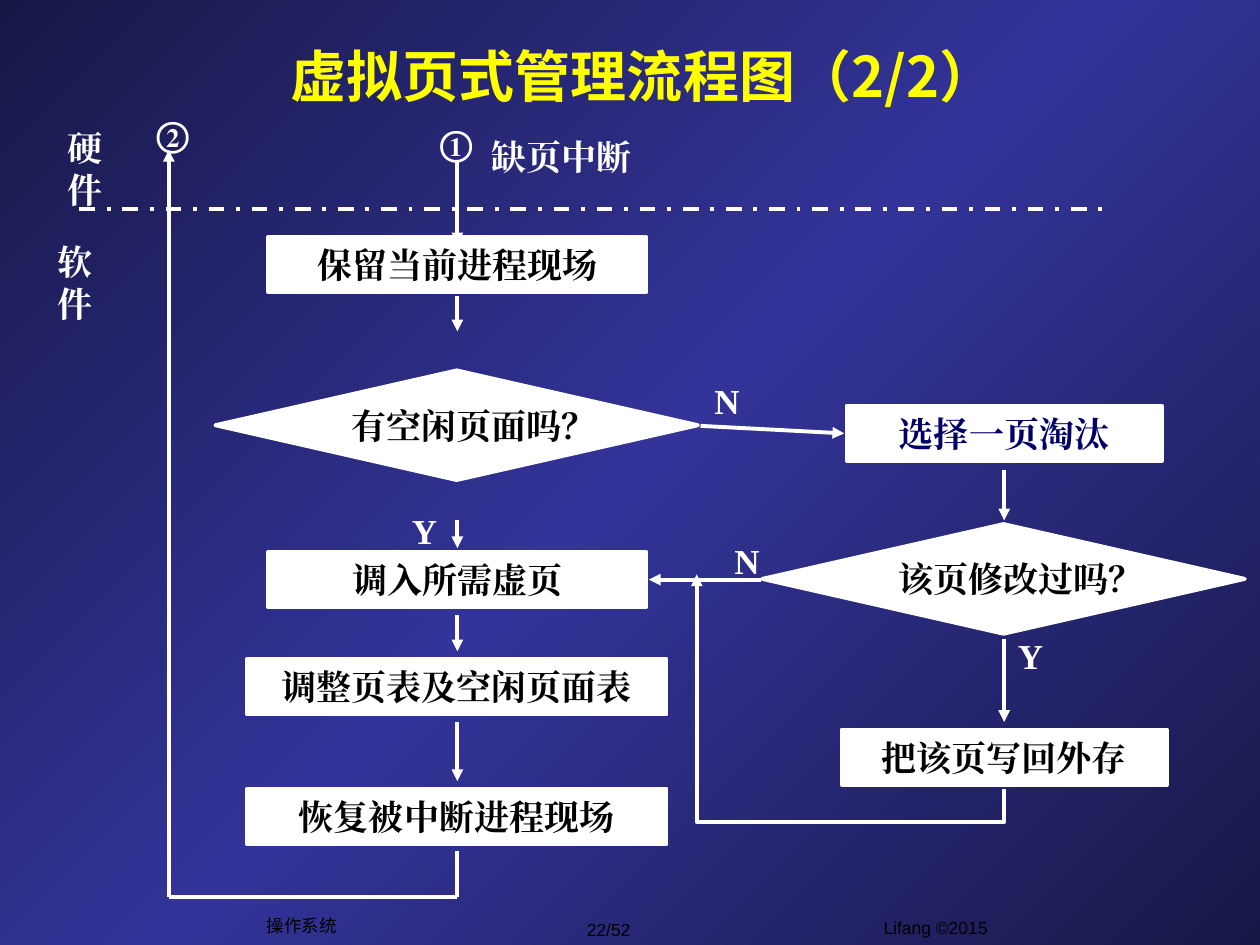
"""Build the slide with the page-fault half of the virtual paging flowchart."""
from copy import deepcopy

from lxml.etree import SubElement
from pptx import Presentation
from pptx.dml.color import RGBColor
from pptx.enum.dml import MSO_LINE
from pptx.enum.lang import MSO_LANGUAGE_ID
from pptx.enum.shapes import MSO_CONNECTOR, MSO_SHAPE
from pptx.enum.text import MSO_ANCHOR, PP_ALIGN
from pptx.oxml.ns import qn
from pptx.util import Emu, Pt

COLORS = {"edge": "181847", "middle": "333399", "white": "FFFFFF",
          "black": "000000", "navy": "000066", "yellow": "FFFF00"}
SERIF, SANS, TITLE_FONT = "Times New Roman", "Arial", "Noto Sans CJK SC"
LEFT, RIGHT, RETURN = 363, 797, 134
PROCESS_HEIGHT, DECISION_WIDTH, DECISION_HEIGHT = 44, 383, 87
LABEL_HEIGHT = 44
LINE_WIDTH = 2.25

PROCESSES = [
    ("保留当前进程现场", LEFT, 188, 300, "black"),
    ("调入所需虚页", LEFT, 438, 300, "black"),
    ("调整页表及空闲页面表", LEFT, 523, 333, "black"),
    ("恢复被中断进程现场", LEFT, 626, 333, "black"),
    ("选择一页淘汰", RIGHT, 322, 250, "navy"),
    ("把该页写回外存", RIGHT, 579, 258, "black"),
]
DECISIONS = [("有空闲页面吗？", LEFT, 294), ("该页修改过吗？", RIGHT, 416)]
ARROWS = [
    (LEFT, 235, LEFT, 263),
    (LEFT, 413, LEFT, 435),
    (LEFT, 488, LEFT, 517),
    (LEFT, 573, LEFT, 620),
    (556, 338, 670, 344),
    (RIGHT, 373, RIGHT, 413),
    (RIGHT, 507, RIGHT, 573),
    (604, 460, 515, 460),
    (LEFT, 128, LEFT, 194),
    (RETURN, 712, RETURN, 119),
]
PLAIN_LINES = [(LEFT, 675, LEFT, 712), (LEFT, 712, RETURN, 712)]
DIVIDER = (63, 166, 883, 166)
WRITE_BACK_FRAME = (590, 419, 760, 663)
WRITE_BACK_BENDS = {"adj1": -15600, "adj2": 100000}
LABELS = [
    ("N", 557, 296, 40), ("缺页中断", 380, 102, 131), ("Y", 317, 399, 40),
    ("N", 573, 423, 40), ("Y", 798, 498, 40), ("软件", 22, 202, 75),
    ("硬件", 30, 112, 75), ("②", 113, 84, 48), ("①", 338, 91, 48),
]
FOOTERS = [
    ("Lifang ©2015", 584, 723, 317, 27),
    ("22/52", 432, 724, 102, 27),
    ("操作系统", 202, 721, 75, 27),
]
TITLE = ("虚拟页式管理流程图（2/2）", 102, 28, 817, 63)


def px(value):
    return Emu(value * 9144)


def rgb(name):
    return RGBColor.from_string(COLORS[name])


def write(shape, text, *, size=20, font=SERIF, color="white", bold=True, wrap=False):
    frame = shape.text_frame
    frame.word_wrap = wrap
    frame.vertical_anchor = MSO_ANCHOR.MIDDLE
    paragraph = frame.paragraphs[0]
    paragraph.alignment = PP_ALIGN.CENTER
    run = paragraph.add_run()
    run.text = text
    run.font.size = Pt(size)
    run.font.bold = bold
    run.font.name = font
    run.font.color.rgb = rgb(color)
    run.font.language_id = MSO_LANGUAGE_ID.SIMPLIFIED_CHINESE
    properties = run.font._element
    SubElement(properties, qn("a:ea")).set("typeface", font)


def add_text(slide, text, left, top, width, height, **style):
    box = slide.shapes.add_textbox(px(left), px(top), px(width), px(height))
    write(box, text, **style)


def add_node(slide, kind, text, center, top, width, height, color):
    left = center - width / 2
    node = slide.shapes.add_shape(kind, *map(px, (int(left), top, width, height)))
    node.shadow.inherit = False
    node.fill.solid()
    node.fill.fore_color.rgb = rgb("white")
    node.line.color.rgb = rgb("white")
    node.line.width = Pt(LINE_WIDTH)
    write(node, text, color=color, wrap=True)


def add_line(slide, points, kind=MSO_CONNECTOR.STRAIGHT, arrow=False, dash=None):
    connector = slide.shapes.add_connector(kind, *map(px, points))
    connector.line.color.rgb = rgb("white")
    connector.line.width = Pt(LINE_WIDTH)
    if dash:
        connector.line.dash_style = dash
    properties = connector._element.spPr
    if arrow:
        SubElement(properties.find(qn("a:ln")), qn("a:tailEnd")).set("type", "triangle")
    SubElement(properties, qn("a:effectLst"))
    return connector


def add_write_back(slide):
    connector = add_line(slide, WRITE_BACK_FRAME, MSO_CONNECTOR.ELBOW, arrow=True)
    properties = connector._element.spPr
    transform = properties.find(qn("a:xfrm"))
    transform.set("rot", str(270 * 60000))
    transform.set("flipV", "1")
    geometry = properties.find(qn("a:prstGeom"))
    geometry.set("prst", "bentConnector4")
    adjustments = geometry.find(qn("a:avLst"))
    if adjustments is None:
        adjustments = SubElement(geometry, qn("a:avLst"))
    for name, value in WRITE_BACK_BENDS.items():
        guide = SubElement(adjustments, qn("a:gd"))
        guide.set("name", name)
        guide.set("fmla", f"val {value}")


def paint_background(slide):
    fill = slide.background.fill
    fill.gradient()
    fill.gradient_angle = 315
    stops = slide._element.find(".//" + qn("a:gsLst"))
    stops.insert(1, deepcopy(stops[0]))
    for stop, position, name in zip(fill.gradient_stops, (0, 0.5, 1), ("edge", "middle", "edge")):
        stop.position = position
        stop.color.rgb = rgb(name)


def main():
    presentation = Presentation()
    presentation.slide_width, presentation.slide_height = px(1000), px(750)
    slide = presentation.slides.add_slide(presentation.slide_layouts[6])
    paint_background(slide)
    for footer in FOOTERS:
        add_text(slide, *footer, size=10, font=SANS, color="black", bold=False)
    for text, center, top, width, color in PROCESSES:
        add_node(slide, MSO_SHAPE.FLOWCHART_PROCESS, text, center, top, width,
                 PROCESS_HEIGHT, color)
    for text, center, top in DECISIONS:
        add_node(slide, MSO_SHAPE.FLOWCHART_DECISION, text, center, top,
                 DECISION_WIDTH, DECISION_HEIGHT, "black")
    for points in ARROWS:
        add_line(slide, points, arrow=True)
    for points in PLAIN_LINES:
        add_line(slide, points)
    add_line(slide, DIVIDER, dash=MSO_LINE.DASH_DOT)
    add_write_back(slide)
    for label in LABELS:
        add_text(slide, *label, LABEL_HEIGHT)
    add_text(slide, *TITLE, size=32, font=TITLE_FONT, color="yellow", wrap=True)
    presentation.save("out.pptx")


if __name__ == "__main__":
    main()
